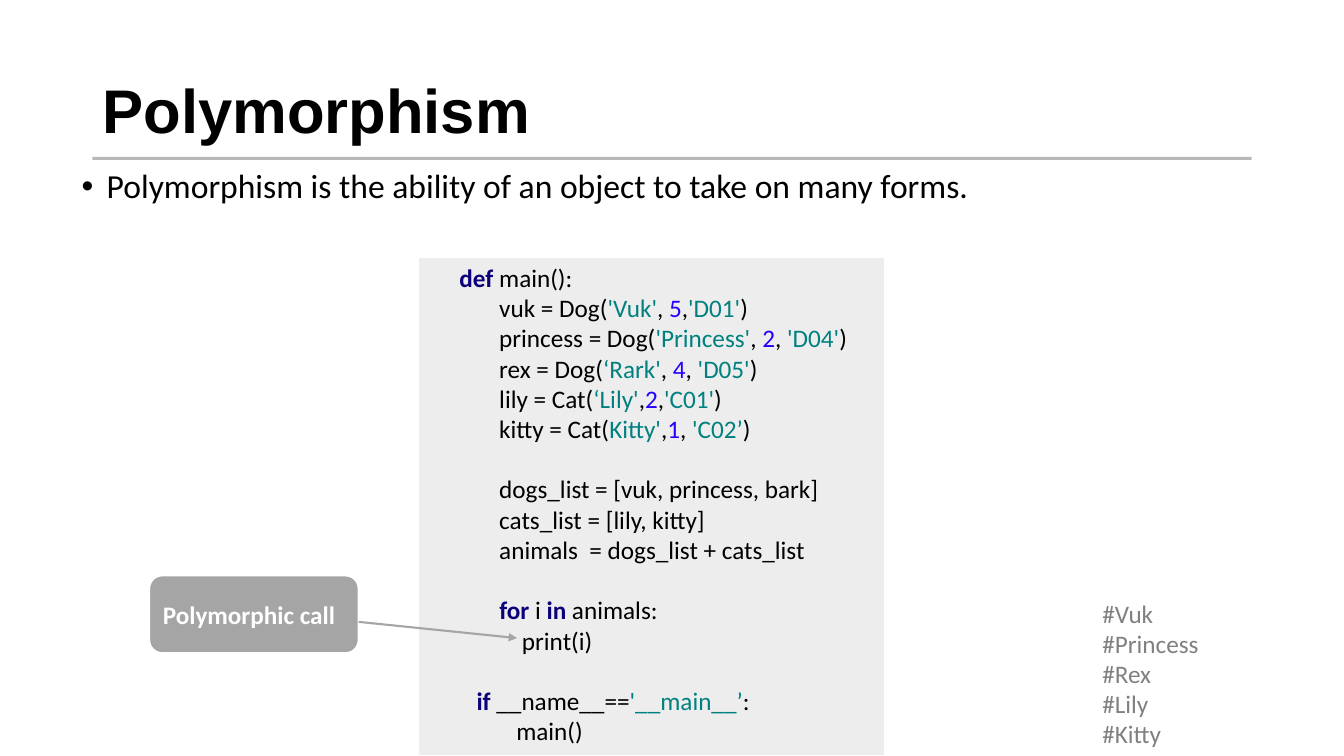
"""Build a slide on polymorphism with a code listing, a callout and its output."""
from lxml import etree
from pptx import Presentation
from pptx.dml.color import RGBColor
from pptx.enum.shapes import MSO_CONNECTOR, MSO_SHAPE
from pptx.enum.text import MSO_ANCHOR, MSO_AUTO_SIZE, PP_ALIGN
from pptx.oxml.ns import qn
from pptx.util import Cm, Pt

LINE = MSO_CONNECTOR.STRAIGHT
ROUND = MSO_SHAPE.ROUNDED_RECTANGLE
MIDDLE, TOP = MSO_ANCHOR.MIDDLE, MSO_ANCHOR.TOP
LEFT = PP_ALIGN.LEFT
GROW = MSO_AUTO_SIZE.SHAPE_TO_FIT_TEXT

COLORS = {
    "text": "000000", "key": "0A007A", "string": "008180", "number": "2300FF",
    "panel": "EDEDED", "call": "A5A5A5", "white": "FFFFFF",
    "output": "808080", "rule": "767171",
}
KEYWORDS = {"def", "for", "in", "if"}

# Odd pieces between bars are coloured tokens.
SETUP = [
    "|def| main():",
    "       vuk = Dog(|'Vuk'|, |5|,|'D01'|)",
    "       princess = Dog(|'Princess'|, |2|, |'D04'|)",
    "       rex = Dog(|‘Rark'|, |4|, |'D05'|)",
    "       lily = Cat(|‘Lily'|,|2|,|'C01'|)",
    "       kitty = Cat(|Kitty'|,|1|, |'C02’|)",
]
USE = [
    "",
    "       dogs_list = [vuk, princess, bark]",
    "       cats_list = [lily, kitty]",
    "       animals  = dogs_list + cats_list",
    "",
    "       |for| i |in| animals:",
    "           print(i)",
    "",
    "   |if| __name__==|'__main__’|:",
    "          main()",
]
NAMES = ["#Vuk", "#Princess", "#Rex", "#Lily", "#Kitty"]


def color(name):
    """Return the named colour."""
    return RGBColor.from_string(COLORS[name])


def place(shape, box):
    """Move a shape to a box given in centimetres."""
    shape.left, shape.top, shape.width, shape.height = map(Cm, box)


def style(para, size, tint, bold=False, face="Calibri"):
    """Set the font of a whole paragraph."""
    para.alignment = LEFT
    font = para.font
    font.size, font.name, font.bold = Pt(size), face, bold
    font.color.rgb = color(tint)


def draw_line(slide, start, end, tint, width):
    """Draw a straight line without shadow and return its line element."""
    line = slide.shapes.add_connector(LINE, *map(Cm, start + end))
    line.line.color.rgb = color(tint)
    line.line.width = Pt(width)
    etree.SubElement(line._element.spPr, qn("a:effectLst"))
    return line.line._get_or_add_ln()


def add_text(slide, box):
    """Add a text box that grows with its lines."""
    frame = slide.shapes.add_textbox(*map(Cm, box)).text_frame
    frame.word_wrap = False
    frame.auto_size = GROW
    return frame


def add_head(slide, box):
    """Place the title and the rule under it."""
    left, top, width, height = box
    title = slide.shapes.title
    place(title, box)
    frame = title.text_frame
    frame.text = "Polymorphism"
    frame.vertical_anchor = MIDDLE
    para = frame.paragraphs[0]
    para.line_spacing = 0.9
    style(para, 44, "text", True, "Arial")
    level = top + 2.97
    ln = draw_line(slide, (left, level), (left + width, level), "rule", 2)
    tint = ln.find(qn("a:solidFill"))[0]
    etree.SubElement(tint, qn("a:alpha"), val="49000")


def add_body(slide, box):
    """Place the bulleted definition."""
    body = slide.placeholders[1]
    place(body, box)
    frame = body.text_frame
    frame.text = "Polymorphism is the ability of an object to take on many forms."
    frame.vertical_anchor = TOP
    para = frame.paragraphs[0]
    para.line_spacing = 0.9
    props = para._p.get_or_add_pPr()
    props.set("marL", str(Cm(0.635)))
    props.set("indent", str(-Cm(0.635)))
    etree.SubElement(props, qn("a:buFont"), typeface="Arial")
    etree.SubElement(props, qn("a:buChar"), char="•")
    style(para, 24, "text")


def add_token(para, text):
    """Add a token in the colour of its kind."""
    run = para.add_run()
    run.text = text
    if text in KEYWORDS:
        kind = "key"
        run.font.bold = True
    else:
        kind = "number" if text.isdigit() else "string"
    run.font.color.rgb = color(kind)


def add_code(slide, box):
    """Place the grey panel and the listing on it."""
    left, top, width, height = box
    table = slide.shapes.add_table(1, 1, *map(Cm, box)).table
    fill = table.cell(0, 0).fill
    fill.solid()
    fill.fore_color.rgb = color("panel")
    frame = add_text(slide, (left + 0.79, top, 10.41, height))
    for part, lines in enumerate((SETUP, USE)):
        para = frame.add_paragraph() if part else frame.paragraphs[0]
        style(para, 18, "text")
        for row, line in enumerate(lines):
            if row:
                para.add_line_break()
            for spot, piece in enumerate(line.split("|")):
                if spot % 2:
                    add_token(para, piece)
                elif piece:
                    para.add_run().text = piece


def add_call(slide, box):
    """Place the callout and its arrow to the print line."""
    left, top, width, height = box
    call = slide.shapes.add_shape(ROUND, *map(Cm, box))
    call.shadow.inherit = False
    call.fill.solid()
    call.fill.fore_color.rgb = color("call")
    call.line.color.rgb = color("white")
    call.line.width = Pt(1.5)
    frame = call.text_frame
    frame.text = "Polymorphic call"
    frame.word_wrap = True
    frame.vertical_anchor = MIDDLE
    style(frame.paragraphs[0], 18, "white", True)
    right = left + width
    start, end = (right, top + 1.17), (right + 3.99, top + 1.58)
    ln = draw_line(slide, start, end, "call", 1.5)
    etree.SubElement(ln, qn("a:tailEnd"), type="triangle")


def add_output(slide, box):
    """Place the printed names."""
    frame = add_text(slide, box)
    frame.text = "\n".join(NAMES)
    for para in frame.paragraphs:
        style(para, 18, "output")


deck = Presentation()
deck.slide_width, deck.slide_height = Cm(33.87), Cm(19.05)
page = deck.slides.add_slide(deck.slide_layouts[1])
add_head(page, (2.33, 1.02, 29.21, 3.68))
add_body(page, (1.8, 4.14, 29.21, 12.09))
add_code(page, (10.54, 6.48, 11.76, 12.57))
add_call(page, (3.76, 14.5, 5.28, 1.96))
add_output(page, (27.53, 14.94, 2.97, 4.11))
deck.save("out.pptx")
